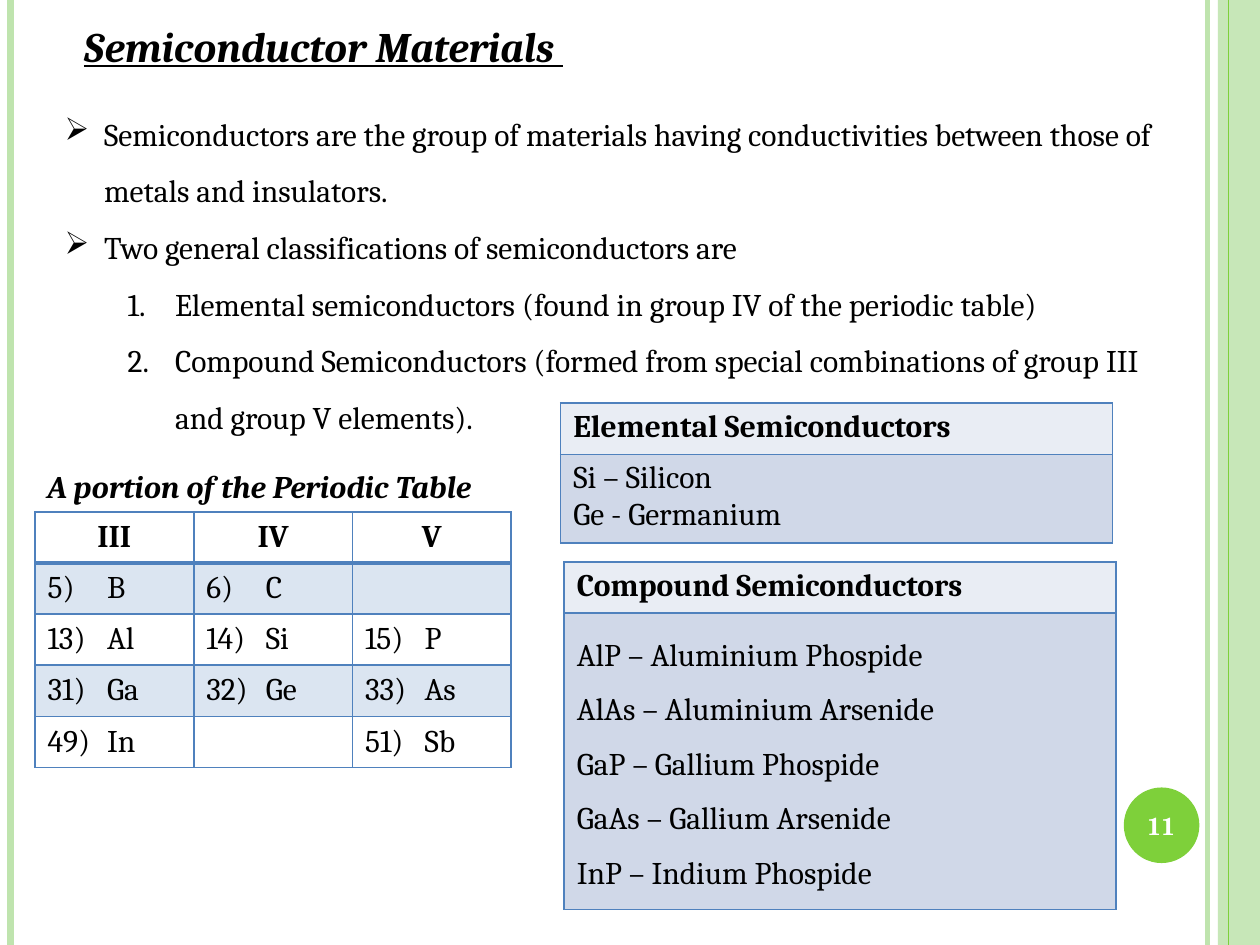
from lxml import etree
from pptx import Presentation
from pptx.dml import color
from pptx.enum import shapes, text
from pptx.oxml import ns
from pptx.util import Pt

COLOURS = {
    "pale": "BFE4AE",
    "green": "7ED03A",
    "black": "000000",
    "white": "FFFFFF",
    "blue": "4F81BD",
    "header": "E9EDF4",
    "body": "D0D8E8",
}


class SlideBuilder:
    def __init__(self, page, family, size):
        self.page = page
        self.base = {"name": family, "size": Pt(size)}

    def rgb(self, name):
        return color.RGBColor.from_string(COLOURS[name])

    def node(self, parent, tag, **attributes):
        return etree.SubElement(parent, ns.qn(f"a:{tag}"), **attributes)

    def paint(self, fill, name, alpha=None):
        if name is None:
            fill.background()
            return
        fill.solid()
        fill.fore_color.rgb = self.rgb(name)
        if alpha:
            holder = fill._xPr.find(ns.qn("a:solidFill"))[0]
            self.node(holder, "alpha", val=str(alpha * 1000))

    def span(self, paragraph, words, ink="black", **style):
        span = paragraph.add_run()
        span.text = words
        for key, value in (self.base | style).items():
            setattr(span.font, key, value)
        span.font.color.rgb = self.rgb(ink)

    def rule(self, x, width, ink):
        line = self.page.shapes.add_connector(
            shapes.MSO_CONNECTOR.STRAIGHT, Pt(x), Pt(0), Pt(x), Pt(540))
        line.line.width = Pt(width)
        line.line.color.rgb = self.rgb(ink)
        self.node(line._element.spPr, "effectLst")

    def shape(self, kind, frame, ink, alpha=None):
        shape = self.page.shapes.add_shape(kind, *map(Pt, frame))
        shape.shadow.inherit = False
        shape.line.fill.background()
        self.paint(shape.fill, ink, alpha)

    def box(self, frame, inset=(0, 0)):
        frame_text = self.page.shapes.add_textbox(*map(Pt, frame)).text_frame
        side, top = map(Pt, inset)
        settings = {"word_wrap": True, "margin_left": side, "margin_right": side,
                    "margin_top": top, "margin_bottom": top}
        for key, value in settings.items():
            setattr(frame_text, key, value)
        return frame_text

    def label(self, frame, words, inset=(0, 0), **style):
        self.span(self.box(frame, inset).paragraphs[0], words, **style)

    def bullets(self, frame, items):
        kinds = {
            0: ("buChar", {"char": "➢"}, 22.5, -22.5),
            1: ("buAutoNum", {"type": "arabicPeriod"}, 63, -27),
        }
        box = self.box(frame)
        for index, (level, words) in enumerate(items):
            paragraph = box.add_paragraph() if index else box.paragraphs[0]
            paragraph.level = level
            paragraph.line_spacing = 1.5
            tag, attributes, margin, indent = kinds[level]
            properties = paragraph._p.get_or_add_pPr()
            properties.set("marL", str(Pt(margin)))
            properties.set("indent", str(Pt(indent)))
            self.node(properties, tag, **attributes)
            self.span(paragraph, words)

    def border(self, cell, **widths):
        properties = cell._tc.get_or_add_tcPr()
        for side in "LRTB":
            line = self.node(properties, f"ln{side}", w=str(Pt(widths.get(side, 1))))
            self.node(self.node(line, "solidFill"), "srgbClr", val=COLOURS["blue"])

    def table(self, frame, heights, column_count):
        table = self.page.shapes.add_table(
            len(heights), column_count, *map(Pt, frame)).table
        table.first_row = table.horz_banding = False
        for row, height in zip(table.rows, heights):
            row.height = Pt(height)
        for column in table.columns:
            column.width = Pt(frame[2] / column_count)
        return table

    def list_table(self, frame, heading, lines, spacing=None):
        head = 29.2
        table = self.table(frame, (head, frame[3] - head), 1)
        contents = (([heading], "header", True, None), (lines, "body", False, spacing))
        for row, (entries, ink, bold, gap) in enumerate(contents):
            cell = table.cell(row, 0)
            self.border(cell)
            self.paint(cell.fill, ink)
            for index, words in enumerate(entries):
                frame_text = cell.text_frame
                paragraph = frame_text.add_paragraph() if index else frame_text.paragraphs[0]
                paragraph.line_spacing = gap
                self.span(paragraph, words, bold=bold)

    def periodic_table(self, frame, groups, rows):
        table = self.table(frame, [frame[3] / (len(rows) + 1)] * (len(rows) + 1), len(groups))
        for row, entries in enumerate([groups, *rows]):
            for column, entry in enumerate(entries):
                cell = table.cell(row, column)
                cell.vertical_anchor = text.MSO_ANCHOR.MIDDLE
                self.border(cell, **{0: {"B": 2}, 1: {"T": 2}}.get(row, {}))
                self.paint(cell.fill, *(("blue", 20) if row % 2 else (None,)))
                paragraph = cell.text_frame.paragraphs[0]
                if row == 0:
                    paragraph.alignment = text.PP_ALIGN.CENTER
                    self.span(paragraph, entry, bold=True)
                elif entry:
                    number, symbol = entry
                    stops = self.node(paragraph._p.get_or_add_pPr(), "tabLst")
                    self.node(stops, "tab", pos=str(Pt(34)), algn="l")
                    self.span(paragraph, f"{number})\t{symbol}", bold=False)


def main():
    deck = Presentation()
    deck.slide_width, deck.slide_height = Pt(720), Pt(540)
    page = deck.slides.add_slide(deck.slide_layouts[6])
    slide = SlideBuilder(page, "Cambria", 18)

    slide.rule(690, 3, "pale")
    slide.shape(shapes.MSO_SHAPE.OVAL, (642.2, 450, 43.2, 43.2), "green")
    slide.rule(6, 4.5, "pale")
    slide.shape(shapes.MSO_SHAPE.RECTANGLE, (696, 0, 24, 540), "pale", 87)
    slide.rule(702, 0.75, "green")

    slide.label((48, 11.5, 322, 29), "Semiconductor Materials ",
                size=Pt(24), bold=True, italic=True, underline=True)
    slide.bullets((37, 54.7, 635, 196.5), [
        (0, "Semiconductors are the group of materials having conductivities "
            "between those of metals and insulators."),
        (0, "Two general classifications of semiconductors are"),
        (1, "Elemental semiconductors (found in group IV of the periodic table)"),
        (1, "Compound Semiconductors (formed from special combinations of "
            "group III and group V elements)."),
    ])
    slide.periodic_table((20, 292.5, 272.2, 146), ["III", "IV", "V"], [
        [(5, "B"), (6, "C"), None],
        [(13, "Al"), (14, "Si"), (15, "P")],
        [(31, "Ga"), (32, "Ge"), (33, "As")],
        [(49, "In"), None, (51, "Sb")],
    ])
    slide.label((20, 263.5, 272.2, 29), "A portion of the Periodic Table",
                inset=(7.2, 3.6), bold=True, italic=True)
    slide.list_table((320.4, 230.4, 315.4, 80), "Elemental Semiconductors",
                     ["Si – Silicon", "Ge - Germanium"])
    slide.list_table((322.4, 321.2, 315.4, 198.3), "Compound Semiconductors", [
        "AlP – Aluminium Phospide",
        "AlAs – Aluminium Arsenide",
        "GaP – Gallium Phospide",
        "GaAs – Gallium Arsenide",
        "InP – Indium Phospide",
    ], spacing=1.5)
    slide.label((655.5, 463.5, 18.7, 18), "11", ink="white",
                name="TeX Gyre Schola", size=Pt(14), bold=True)
    deck.save("out.pptx")


if __name__ == "__main__":
    main()
